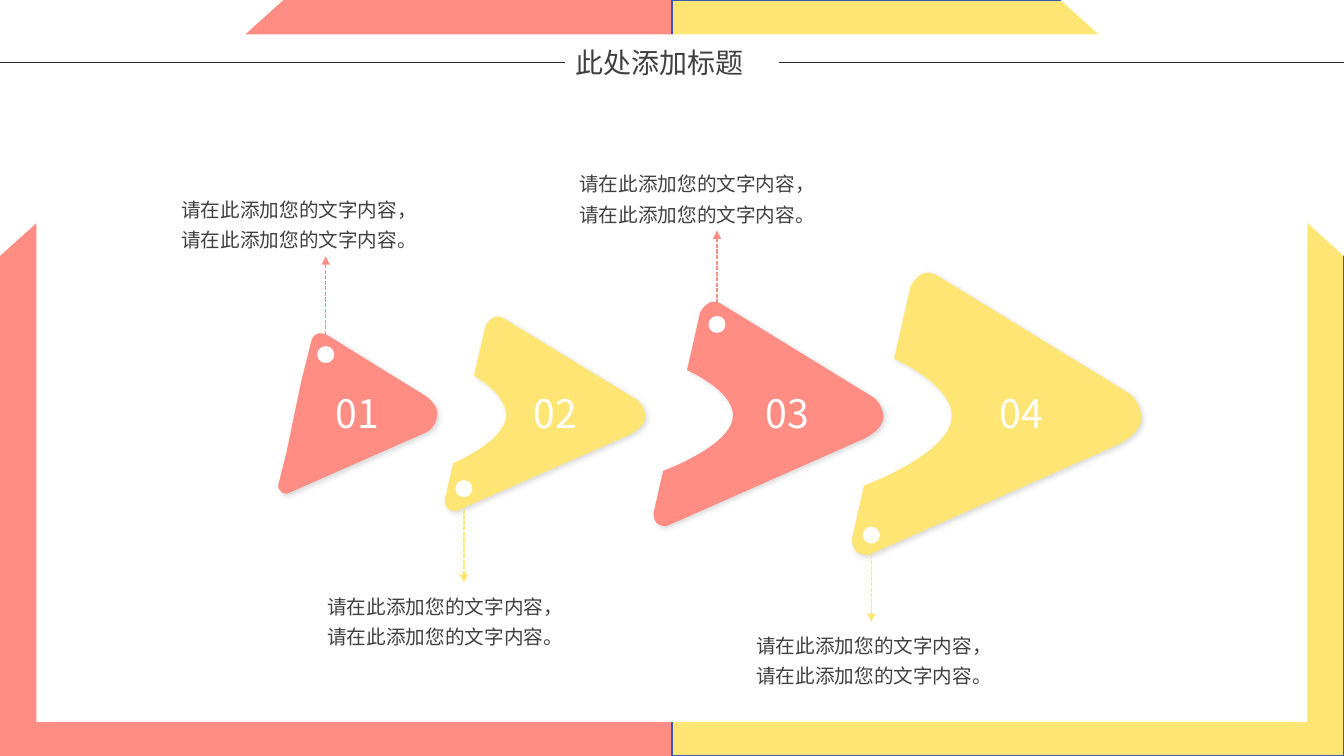
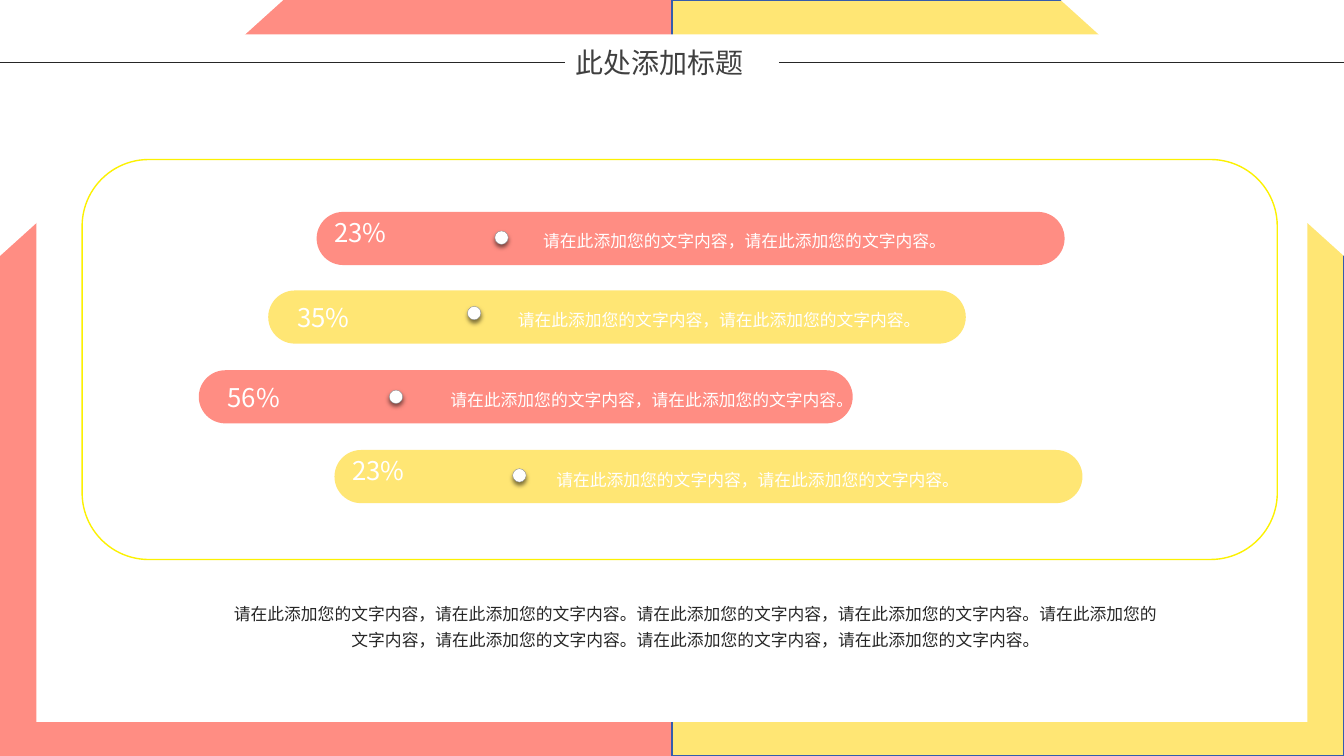
"""Build two slides of a coral and yellow deck: growing arrows and percentage bars."""
from dataclasses import dataclass

from lxml.etree import SubElement
from pptx import Presentation
from pptx.dml.color import RGBColor
from pptx.enum.dml import MSO_LINE
from pptx.enum.shapes import MSO_CONNECTOR, MSO_SHAPE
from pptx.enum.text import MSO_ANCHOR, MSO_AUTO_SIZE, PP_ALIGN
from pptx.oxml.ns import qn
from pptx.util import Cm, Pt


@dataclass(frozen=True)
class Theme:
    coral: str = "FF8D83"
    yellow: str = "FFE674"
    white: str = "FFFFFF"
    ink: str = "262626"
    grey: str = "404040"
    seam: str = "355CAD"
    panel: str = "FCF101"
    dot_edge: str = "85888D"
    font: str = "Noto Sans CJK SC"
    title: float = 20
    number: float = 28
    percent: float = 18.4
    note: float = 14
    small: float = 12


theme = Theme()


def paint(item, fill=None, line=None, width=1, shadow=None):
    if fill:
        item.fill.solid()
        item.fill.fore_color.rgb = RGBColor.from_string(fill)
    elif hasattr(item, "fill"):
        item.fill.background()
    if line:
        item.line.color.rgb = RGBColor.from_string(line)
        item.line.width = Pt(width)
    else:
        item.line.fill.background()
    effects = SubElement(item.element.spPr, qn("a:effectLst"))
    if shadow:
        alpha, blur, distance, angle = shadow
        outer = SubElement(effects, qn("a:outerShdw"), blurRad=str(Pt(blur)), dist=str(Pt(distance)),
                           dir=str(angle * 60000), algn="ctr", rotWithShape="0")
        black = SubElement(outer, qn("a:srgbClr"), val="000000")
        SubElement(black, qn("a:alpha"), val=str(alpha * 1000))
    return item


def write(holder, text, size, color, align=PP_ALIGN.LEFT, spacing=None, wrap=True, anchor=MSO_ANCHOR.TOP):
    frame = holder.text_frame
    frame.text = text
    frame.word_wrap = wrap
    frame.vertical_anchor = anchor
    for paragraph in frame.paragraphs:
        paragraph.alignment = align
        paragraph.line_spacing = spacing
        paragraph.font.size = Pt(size)
        paragraph.font.color.rgb = RGBColor.from_string(color)
        paragraph.font.name = theme.font
    for properties in holder.element.iter(qn("a:defRPr")):
        SubElement(properties, qn("a:ea"), typeface=theme.font)
    return frame


deck = Presentation()
deck.slide_width, deck.slide_height = Cm(33.87), Cm(19.05)
deck.slide_master.background.fill.solid()
deck.slide_master.background.fill.fore_color.rgb = RGBColor.from_string(theme.coral)
blank = deck.slide_layouts[6]
arrows_slide, bars_slide = deck.slides.add_slide(blank), deck.slides.add_slide(blank)

for slide in (arrows_slide, bars_slide):
    shapes = slide.shapes
    paint(shapes.add_shape(MSO_SHAPE.RECTANGLE, Cm(16.94), 0, Cm(16.93), Cm(19.05)), theme.yellow, theme.seam)
    paint(shapes.add_shape(MSO_SHAPE.RECTANGLE, Cm(0.92), Cm(0.87), Cm(32.03), Cm(17.32)), theme.white)
    for left, flips in ((0, ["flipV"]), (26.73, ["flipH", "flipV"])):
        corner = paint(shapes.add_shape(MSO_SHAPE.RIGHT_TRIANGLE, Cm(left), 0, Cm(7.14), Cm(6.45)), theme.white)
        for flip in flips:
            corner.element.spPr.find(qn("a:xfrm")).set(flip, "1")
    for start, end in ((0, 14.25), (19.63, 33.87)):
        rule = shapes.add_connector(MSO_CONNECTOR.STRAIGHT, Cm(start), Cm(1.57), Cm(end), Cm(1.57))
        paint(rule, line=theme.ink, width=0.5)
    heading = shapes.add_textbox(Cm(14.25), Cm(1.02), Cm(5.38), Cm(1.12))
    write(heading, "此处添加标题", theme.title, theme.grey, PP_ALIGN.JUSTIFY).auto_size = MSO_AUTO_SIZE.SHAPE_TO_FIT_TEXT

whole = [
    [(14.5, 30.5)], [(21, 5)],
    [(21, 5), (21.5, 2), (25, 0.6)], [(28.5, 0), (31.5, 2), (31.5, 2)],
    [(93.7, 40)],
    [(93.7, 40), (100, 45), (100, 50)], [(100, 59), (93, 62), (93, 62)],
    [(5.7, 100)],
    [(5.7, 100), (2.5, 100), (2, 98.8)], [(0, 97), (0, 95), (0, 95)],
    [(5, 75.5)],
]
notched_02, notched_03, notched_04 = [
    [
        [(100, 51.8)],
        [(100, 57.4), (91.6, 61.3), (91.6, 61.3)],
        [(5.6, 100)],
        [(5.6, 100), (2.8, 100), (1.4, 98.6)], [(0, 97.2), (0, 94.3), (0, 94.3)],
        [(4.2, 75.5)],
        [(4.2, 75.5), (notch, 64.2), (notch, 51)], [(notch, 39.7), (14.6, 30.9), (14.6, 30.9)],
        [(20.2, 5.7)],
        [(20.2, 5.7), (21.6, 2.1), (25.1, 0.7)], [(27.5, 0), (30.3, 2.1), (30.3, 2.1)],
        [(95.1, 42.6)],
        [(95.1, 42.6), (100, 45.4), (100, 51.8)],
    ]
    for notch in (30.6, 34.6, 34.5)
]
arrows = [
    ("01", theme.coral, whole, (7.01, 8.38, 4.01, 4.06), 0.25, (8.21, 8.72, -1), 8.72, 4.32),
    ("02", theme.yellow, notched_02, (11.21, 7.95, 5.05, 4.93), 0.79, (11.69, 12.42, 1), 12.1, 8),
    ("03", theme.coral, notched_03, (16.47, 7.57, 5.79, 5.69), 1.19, (18.07, 8.07, -1), 7.96, 14.35),
    ("04", theme.yellow, notched_04, (21.47, 6.83, 7.29, 7.16), 1.5, (21.96, 13.41, 1), 13.27, 18.81),
]
pointer_length, hole = 2.26, 0.43

shapes = arrows_slide.shapes
for number, color, outline, (left, top, width, height), inset, (x, base, way), hole_top, note_left in arrows:
    places = [(Cm(left + width * px / 100), Cm(top + height * py / 100)) for segment in outline for px, py in segment]
    builder = shapes.build_freeform(*places[0])
    builder.add_line_segments(places[1:], close=True)
    arrow = builder.convert_to_shape()
    steps = iter(list(arrow.element.iter(qn("a:lnTo"))))
    for segment in outline[1:]:
        first, *others = [next(steps) for _ in segment]
        if others:
            first.tag = qn("a:cubicBezTo")
        for other in others:
            first.append(other[0])
            other.getparent().remove(other)
    paint(arrow, color, shadow=(15, 4, 2, 45))
    label = write(arrow, number, theme.number, theme.white, PP_ALIGN.CENTER, anchor=MSO_ANCHOR.MIDDLE)
    label.margin_left = Cm(inset)

    tip = base + way * pointer_length
    pointer = shapes.add_connector(MSO_CONNECTOR.STRAIGHT, Cm(x), Cm(base), Cm(x), Cm(tip))
    paint(pointer, line=color)
    pointer.line.dash_style = MSO_LINE.SQUARE_DOT
    SubElement(pointer.element.spPr.find(qn("a:ln")), qn("a:tailEnd"), type="triangle")
    paint(shapes.add_shape(MSO_SHAPE.OVAL, Cm(x - hole / 2), Cm(hole_top), Cm(hole), Cm(hole)), theme.white)

    note_top = tip if way > 0 else tip - 1.78
    note = shapes.add_textbox(Cm(note_left), Cm(note_top), Cm(8.2), Cm(1.73))
    write(note, "请在此添加您的文字内容，\n请在此添加您的文字内容。", theme.note, theme.grey,
          spacing=1.3).auto_size = MSO_AUTO_SIZE.SHAPE_TO_FIT_TEXT

sentence = "请在此添加您的文字内容，请在此添加您的文字内容。"
bars = [
    ("23%", theme.coral, (7.98, 5.34, 18.85), False, (12.47, 5.82), 13.44),
    ("35%", theme.yellow, (6.76, 7.32, 17.58), True, (11.78, 7.72), 12.8),
    ("56%", theme.coral, (5.01, 9.33, 16.48), True, (9.81, 9.83), 11.1),
    ("23%", theme.yellow, (8.43, 11.34, 18.85), False, (12.92, 11.81), 13.77),
]

shapes = bars_slide.shapes
for percent, color, (left, top, width), label_inside, (dot_left, dot_top), text_left in bars:
    bar = shapes.add_shape(MSO_SHAPE.ROUNDED_RECTANGLE, Cm(left), Cm(top), Cm(width), Cm(1.34))
    bar.adjustments[0] = 0.5
    paint(bar, color)
    if label_inside:
        label = write(bar, percent, theme.percent, theme.white, wrap=False, anchor=MSO_ANCHOR.MIDDLE)
        label.margin_left = Cm(0.53)
        label.margin_top = label.margin_right = label.margin_bottom = 0
    else:
        tag = shapes.add_textbox(Cm(left + 0.2), Cm(top), Cm(1.85), Cm(1.04))
        write(tag, percent, theme.percent, theme.white, wrap=False).auto_size = MSO_AUTO_SIZE.SHAPE_TO_FIT_TEXT
    dot = shapes.add_shape(MSO_SHAPE.OVAL, Cm(dot_left), Cm(dot_top), Cm(0.34), Cm(0.34))
    paint(dot, theme.white, theme.dot_edge, 0.25, shadow=(50, 3, 2, 90))
    detail = shapes.add_textbox(Cm(text_left), Cm(top + 0.21), Cm(10.8), Cm(0.86))
    write(detail, sentence, theme.small, theme.white, spacing=1.3).auto_size = MSO_AUTO_SIZE.SHAPE_TO_FIT_TEXT

paint(shapes.add_shape(MSO_SHAPE.ROUNDED_RECTANGLE, Cm(2.07), Cm(4.02), Cm(30.12), Cm(10.08)), line=theme.panel)
summary = shapes.add_textbox(Cm(5.56), Cm(14.94), Cm(23.95), Cm(1.52))
write(summary, sentence * 4, theme.small, theme.ink, PP_ALIGN.CENTER, 1.3).auto_size = MSO_AUTO_SIZE.SHAPE_TO_FIT_TEXT

deck.save("out.pptx")
